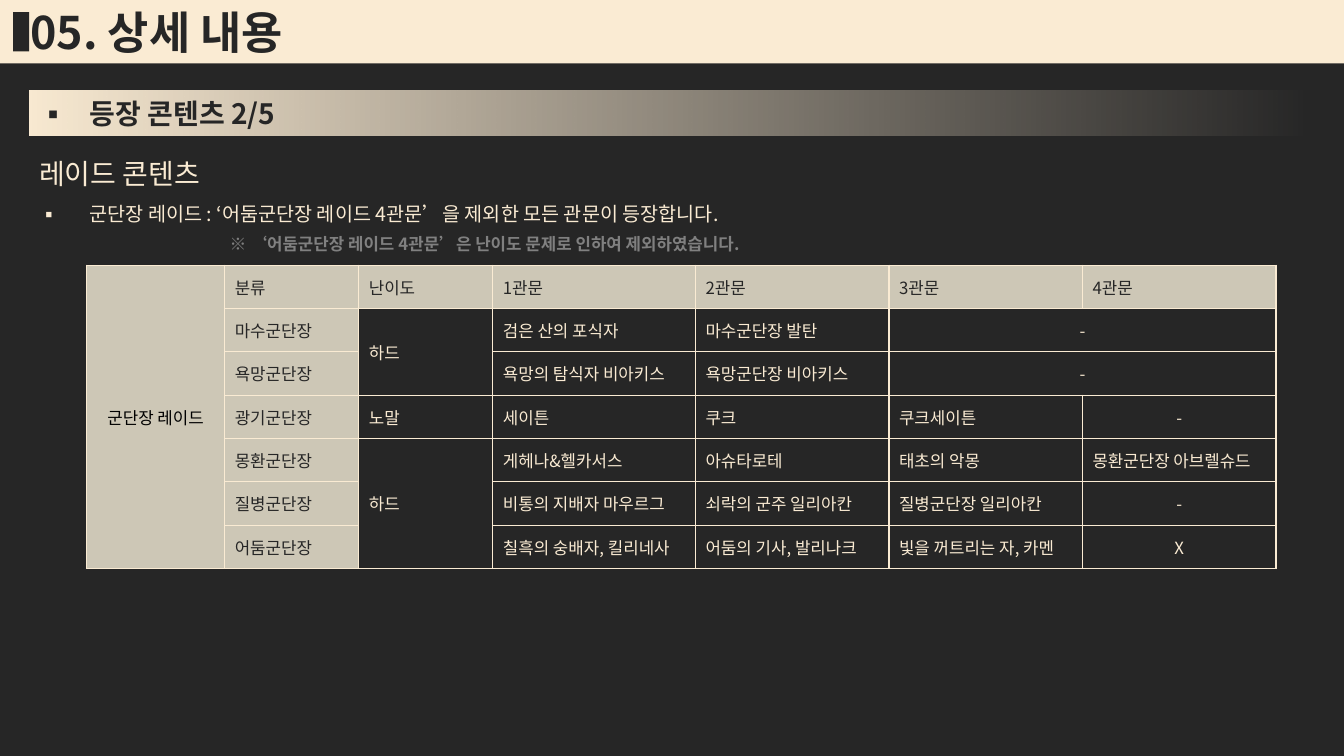
from dataclasses import dataclass

import pptx
import pptx.dml.color
import pptx.enum.shapes
import pptx.enum.text
import pptx.oxml.ns
import pptx.util
from lxml import etree

RGBColor = pptx.dml.color.RGBColor
CREAM = RGBColor(0xFA, 0xEB, 0xD3)
DARK = RGBColor(0x26, 0x26, 0x26)
STONE = RGBColor(0xCD, 0xC7, 0xB6)
GRAY = RGBColor(0x80, 0x80, 0x80)
BLACK = RGBColor(0, 0, 0)
FONT = "Noto Sans CJK KR"

SLIDE_WIDTH = pptx.util.Inches(13.33)
SLIDE_HEIGHT = pptx.util.Inches(7.5)
GRID_COLUMNS, GRID_ROWS = 96, 54
BULLET_INDENT = pptx.util.Inches(0.5)

COLUMN_WEIGHTS = [1.37, 1.33, 1.33, 2.01, 1.92, 1.92, 1.92]
RAID_ROWS = [
    ["군단장 레이드", "분류", "난이도", "1관문", "2관문", "3관문", "4관문"],
    ["", "마수군단장", "하드", "검은 산의 포식자", "마수군단장 발탄", "-", ""],
    ["", "욕망군단장", "", "욕망의 탐식자 비아키스", "욕망군단장 비아키스", "-", ""],
    ["", "광기군단장", "노말", "세이튼", "쿠크", "쿠크세이튼", "-"],
    ["", "몽환군단장", "하드", "게헤나&헬카서스", "아슈타로테", "태초의 악몽", "몽환군단장 아브렐슈드"],
    ["", "질병군단장", "", "비통의 지배자 마우르그", "쇠락의 군주 일리아칸", "질병군단장 일리아칸", "-"],
    ["", "어둠군단장", "", "칠흑의 숭배자, 킬리네사", "어둠의 기사, 발리나크", "빛을 꺼트리는 자, 카멘", "X"],
]
MERGES = [((0, 0), (6, 0)), ((1, 2), (2, 2)), ((4, 2), (6, 2)),
          ((1, 5), (1, 6)), ((2, 5), (2, 6))]
CENTERED = {"군단장 레이드", "-", "X"}


@dataclass
class Box:
    """An area of the slide, in grid columns and rows."""
    left: float
    top: float
    width: float
    height: float

    def inner(self, left, top, width, height):
        return Box(self.left + left, self.top + top, width, height)

    def emu(self):
        column, row = SLIDE_WIDTH / GRID_COLUMNS, SLIDE_HEIGHT / GRID_ROWS
        return [round(length) for length in (
            self.left * column, self.top * row, self.width * column, self.height * row)]


def add_child(parent, tag, **attributes):
    return etree.SubElement(parent, pptx.oxml.ns.qn(tag), **attributes)


def add_rectangle(slide, box, color):
    shape = slide.shapes.add_shape(pptx.enum.shapes.MSO_SHAPE.RECTANGLE, *box.emu())
    shape.shadow.inherit = False
    shape.fill.solid()
    shape.fill.fore_color.rgb = color
    shape.line.fill.background()
    return shape


def add_text_frame(slide, box, anchor=pptx.enum.text.MSO_ANCHOR.MIDDLE):
    text_frame = slide.shapes.add_textbox(*box.emu()).text_frame
    text_frame.word_wrap = True
    text_frame.vertical_anchor = anchor
    return text_frame


def add_run(paragraph, text, size, color, bold=False):
    run = paragraph.add_run()
    run.text = text
    run.font.size = pptx.util.Pt(size)
    run.font.bold = bold
    run.font.color.rgb = color
    run.font.name = FONT
    add_child(run.font._element, "a:ea", typeface=FONT)


def add_bullet(paragraph):
    properties = paragraph._p.get_or_add_pPr()
    properties.set("marL", str(BULLET_INDENT))
    properties.set("indent", str(-BULLET_INDENT))
    add_child(properties, "a:buFont", typeface=FONT)
    add_child(properties, "a:buChar", char="▪")


def add_title_band(slide, box):
    add_rectangle(slide, box, CREAM)
    text_frame = add_text_frame(slide, box.inner(0, 0, 31.5, box.height))
    text_frame.margin_left = pptx.util.Inches(0.3)
    add_run(text_frame.paragraphs[0], "05. 상세 내용", 32, DARK, bold=True)
    add_rectangle(slide, box.inner(0.94, 0.86, 1.15, 2.81), DARK)


def add_section_heading(slide, box):
    """A bar that fades out to the right, with a bulleted heading."""
    bar = add_rectangle(slide, box, CREAM)
    bar.fill.gradient()
    bar.fill.gradient_angle = 180
    for stop in bar.fill.gradient_stops:
        stop.color.rgb = CREAM
    first_color = next(bar._element.iter(pptx.oxml.ns.qn("a:srgbClr")))
    add_child(first_color, "a:alpha", val="0")

    paragraph = add_text_frame(slide, box.inner(0, 0, 37.8, box.height)).paragraphs[0]
    add_bullet(paragraph)
    add_run(paragraph, "등장 콘텐츠 2/5", 20, DARK, bold=True)


def add_description(slide, box):
    text_frame = add_text_frame(slide, box, pptx.enum.text.MSO_ANCHOR.TOP)
    subtitle = text_frame.paragraphs[0]
    subtitle.line_spacing = 1.5
    add_run(subtitle, "레이드 콘텐츠", 20, CREAM)
    detail = text_frame.add_paragraph()
    add_bullet(detail)
    detail.line_spacing = 1.5
    add_run(detail, "군단장 레이드 : ‘어둠군단장 레이드 4관문’을 제외한 모든 관문이 등장합니다.", 14, CREAM)

    note = add_text_frame(slide, box.inner(13.61, 6.69, 38.66, 2.16)).paragraphs[0]
    add_run(note, "※ ‘어둠군단장 레이드 4관문’은 난이도 문제로 인하여 제외하였습니다.", 12, GRAY, bold=True)


def add_borders(cell):
    properties = cell._tc.get_or_add_tcPr()
    for position, side in enumerate(("a:lnL", "a:lnR", "a:lnT", "a:lnB")):
        line = add_child(properties, side, w=str(pptx.util.Pt(1)))
        add_child(add_child(line, "a:solidFill"), "a:srgbClr", val=str(CREAM))
        properties.insert(position, line)


def style_cell(cell, text, row, column):
    is_header = row == 0 or column < 2
    if is_header:
        cell.fill.solid()
        cell.fill.fore_color.rgb = STONE
    else:
        cell.fill.background()
    add_borders(cell)
    cell.vertical_anchor = pptx.enum.text.MSO_ANCHOR.MIDDLE
    if text:
        paragraph = cell.text_frame.paragraphs[0]
        if text in CENTERED:
            paragraph.alignment = pptx.enum.text.PP_ALIGN.CENTER
        color = BLACK if column == 0 else DARK if is_header else CREAM
        add_run(paragraph, text, 12, color)


def add_raid_table(slide, box):
    left, top, width, height = box.emu()
    table = slide.shapes.add_table(
        len(RAID_ROWS), len(COLUMN_WEIGHTS), left, top, width, height).table
    table.first_row = table.horz_banding = False
    for column, weight in zip(table.columns, COLUMN_WEIGHTS):
        column.width = round(width * weight / sum(COLUMN_WEIGHTS))
    for row, texts in enumerate(RAID_ROWS):
        for column, text in enumerate(texts):
            style_cell(table.cell(row, column), text, row, column)
    for first, last in MERGES:
        table.cell(*first).merge(table.cell(*last))


def main():
    presentation = pptx.Presentation()
    presentation.slide_width = SLIDE_WIDTH
    presentation.slide_height = SLIDE_HEIGHT
    slide = presentation.slides.add_slide(presentation.slide_layouts[6])
    slide.background.fill.solid()
    slide.background.fill.fore_color.rgb = DARK

    add_section_heading(slide, Box(2.09, 6.48, 91.8, 3.17))
    add_title_band(slide, Box(0, 0, GRID_COLUMNS, 4.54))
    add_description(slide, Box(2.09, 9.65, 91.8, 9.14))
    add_raid_table(slide, Box(6.19, 18.94, 84.96, 21.67))
    presentation.save("out.pptx")


if __name__ == "__main__":
    main()
